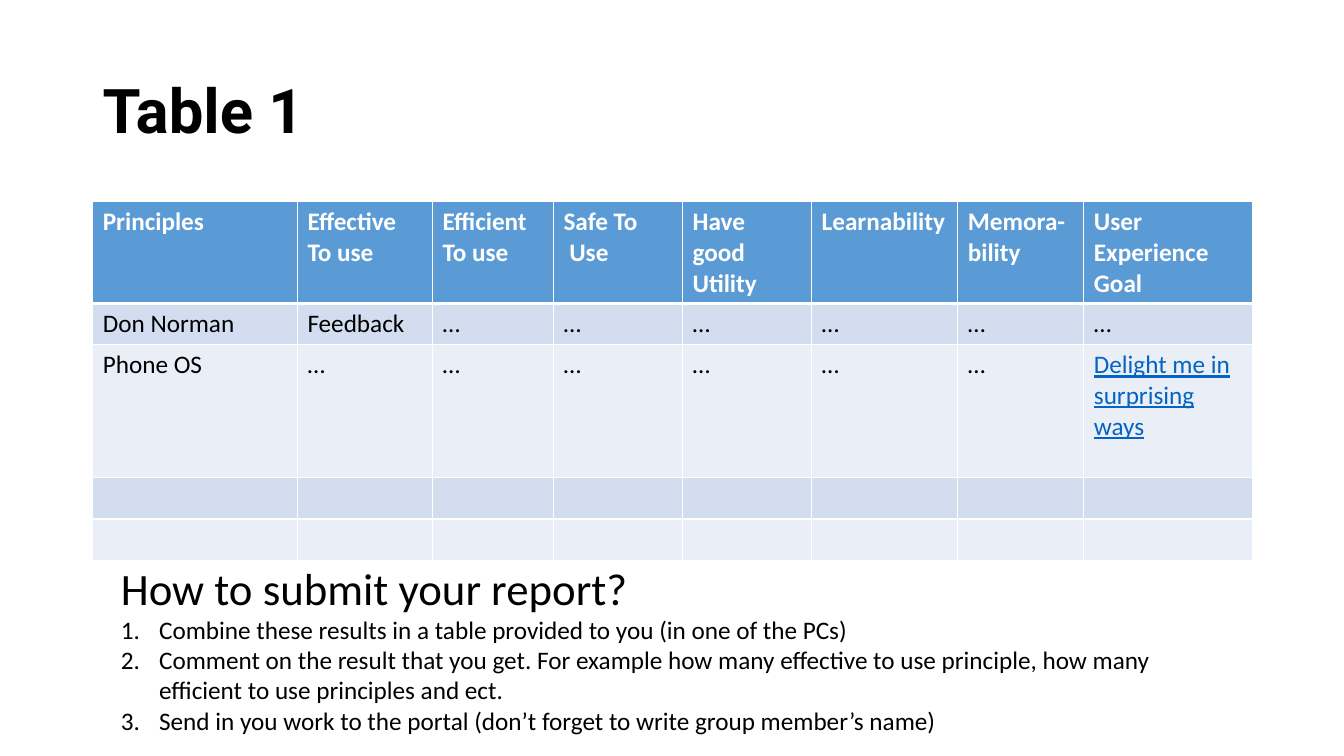
"""Build the report table slide with its submission steps."""
from dataclasses import dataclass

from lxml.etree import SubElement
from pptx import Presentation
from pptx.dml.color import RGBColor
from pptx.enum.text import MSO_ANCHOR, MSO_AUTO_SIZE
from pptx.oxml.ns import qn
from pptx.util import Inches, Pt


@dataclass(frozen=True)
class Theme:
    """Colours, fonts and type sizes."""
    ink: str = "000000"
    white: str = "FFFFFF"
    head: str = "5B9BD5"
    bands: tuple[str, str] = ("D2DEEF", "EAEFF7")
    link: str = "0563C1"
    title_font: str = "Roboto"
    body_font: str = "Calibri"
    title: int = 44
    question: int = 32
    body: int = 18


@dataclass(frozen=True)
class Column:
    """A table column with its header and the texts below it."""
    width: float
    header: str
    norman: str = "…"
    phone: str = "…"


T = Theme()
LINK = "Delight me in surprising ways"
COLUMNS = [
    Column(2.03, "Principles", "Don Norman", "Phone OS"),
    Column(1.34, "Effective\nTo use", "Feedback"),
    Column(1.2, "Efficient\nTo use"),
    Column(1.28, "Safe To\n Use"),
    Column(1.28, "Have good\nUtility"),
    Column(1.45, "Learnability"),
    Column(1.25, "Memora-\nbility"),
    Column(1.67, "User Experience\nGoal", phone=LINK),
]
ROW_HEIGHTS = [1.01, 0.41, 1.32, 0.41, 0.41]
STEPS = [
    "Combine these results in a table provided to you (in one of the PCs)",
    "Comment on the result that you get. For example how many effective to use "
    "principle, how many efficient to use principles and ect.",
    "Send in you work to the portal (don’t forget to write group member’s name)",
]


def style(p, size: int, color: str = T.ink, bold: bool = False, name: str = T.body_font) -> None:
    """Set the font of a paragraph."""
    f = p.font
    f.size, f.bold, f.name = Pt(size), bold, name
    f.color.rgb = RGBColor.from_string(color)


def add_text(s, left: float, top: float, width: float, height: float):
    """Add a wrapping text box and return its text frame."""
    tf = s.shapes.add_textbox(Inches(left), Inches(top), Inches(width), Inches(height)).text_frame
    tf.word_wrap = True
    return tf


def add_borders(cell, top: int, bottom: int) -> None:
    """Draw white borders with the given top and bottom widths in points."""
    tc_pr = cell._tc.get_or_add_tcPr()
    for side, width in {"L": 1, "R": 1, "T": top, "B": bottom}.items():
        ln = SubElement(tc_pr, qn(f"a:ln{side}"), w=str(Pt(width)))
        SubElement(SubElement(ln, qn("a:solidFill")), qn("a:srgbClr"), val=T.white)


def fill_cell(cell, text: str, row: int) -> None:
    """Write and style one table cell."""
    header = row == 0
    add_borders(cell, 3 if row == 1 else 1, 3 if header else 1)
    cell.fill.solid()
    cell.fill.fore_color.rgb = RGBColor.from_string(T.head if header else T.bands[(row - 1) % 2])
    cell.text = text
    for p in cell.text_frame.paragraphs:
        style(p, T.body, T.white if header else T.link if text == LINK else T.ink, header)
        if text == LINK:
            p.font.underline = True


def add_principles(s) -> None:
    """Add the table of principles."""
    table = s.shapes.add_table(len(ROW_HEIGHTS), len(COLUMNS), Inches(0.92), Inches(2),
                               Inches(11.5), Inches(sum(ROW_HEIGHTS))).table
    for row, height in zip(table.rows, ROW_HEIGHTS):
        row.height = Inches(height)
    for c, column in enumerate(COLUMNS):
        table.columns[c].width = Inches(column.width)
        for r, text in enumerate([column.header, column.norman, column.phone, "", ""]):
            fill_cell(table.cell(r, c), text, r)


def add_steps(s) -> None:
    """Add the question and its numbered steps."""
    tf = add_text(s, 1.1, 5.51, 10.51, 1.85)
    tf.auto_size = MSO_AUTO_SIZE.SHAPE_TO_FIT_TEXT
    p = tf.paragraphs[0]
    p.text = "How to submit your report?"
    style(p, T.question)
    for step in STEPS:
        p = tf.add_paragraph()
        p.text = step
        style(p, T.body)
        p_pr = p._p.get_or_add_pPr()
        p_pr.set("marL", str(Inches(0.38)))
        p_pr.set("indent", str(-Inches(0.38)))
        number = SubElement(p_pr, qn("a:buAutoNum"), type="arabicPeriod")
        p_pr.insert(0, number)


def main() -> None:
    """Build and save the slide."""
    prs = Presentation()
    prs.slide_width, prs.slide_height = Inches(13.33), Inches(7.5)
    s = prs.slides.add_slide(prs.slide_layouts[6])
    tf = add_text(s, 0.92, 0.4, 11.5, 1.45)
    tf.vertical_anchor = MSO_ANCHOR.MIDDLE
    p = tf.paragraphs[0]
    p.text = "Table 1"
    p.line_spacing = 0.9
    style(p, T.title, bold=True, name=T.title_font)
    add_principles(s)
    add_steps(s)
    prs.save("out.pptx")


if __name__ == "__main__":
    main()
